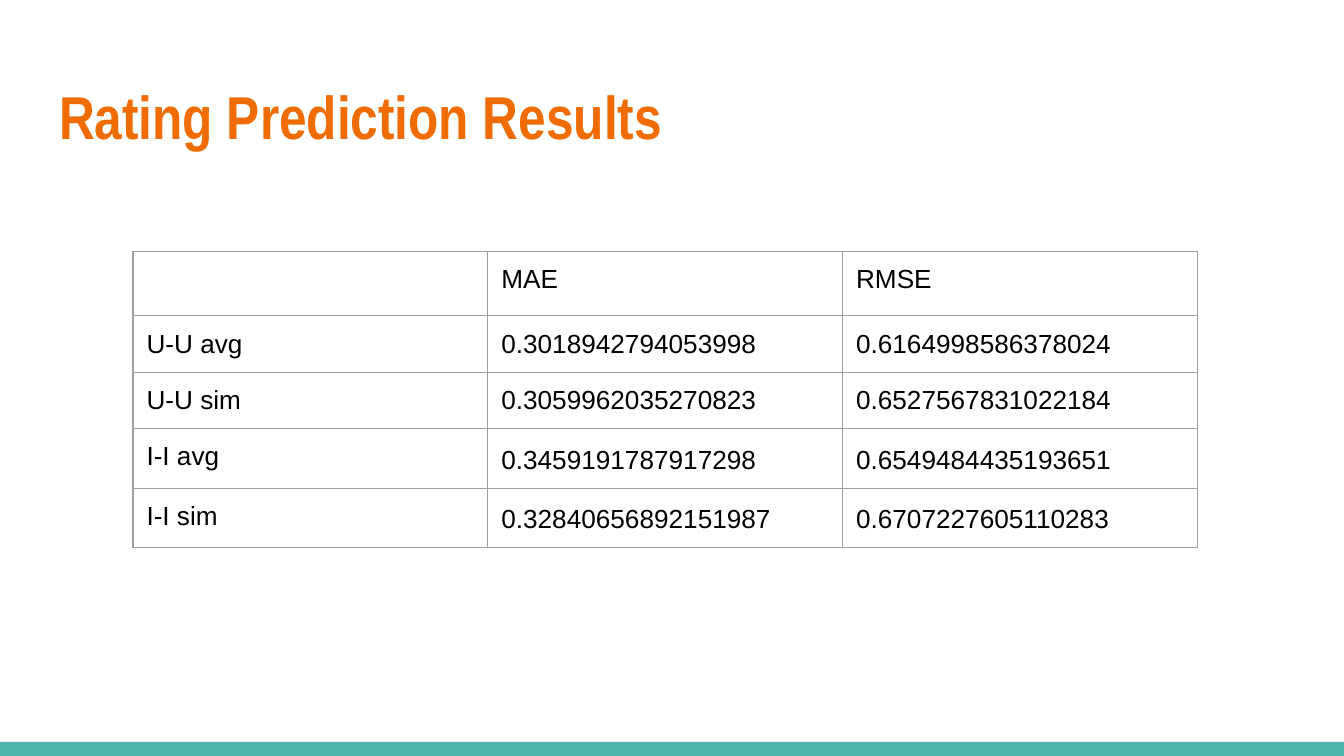
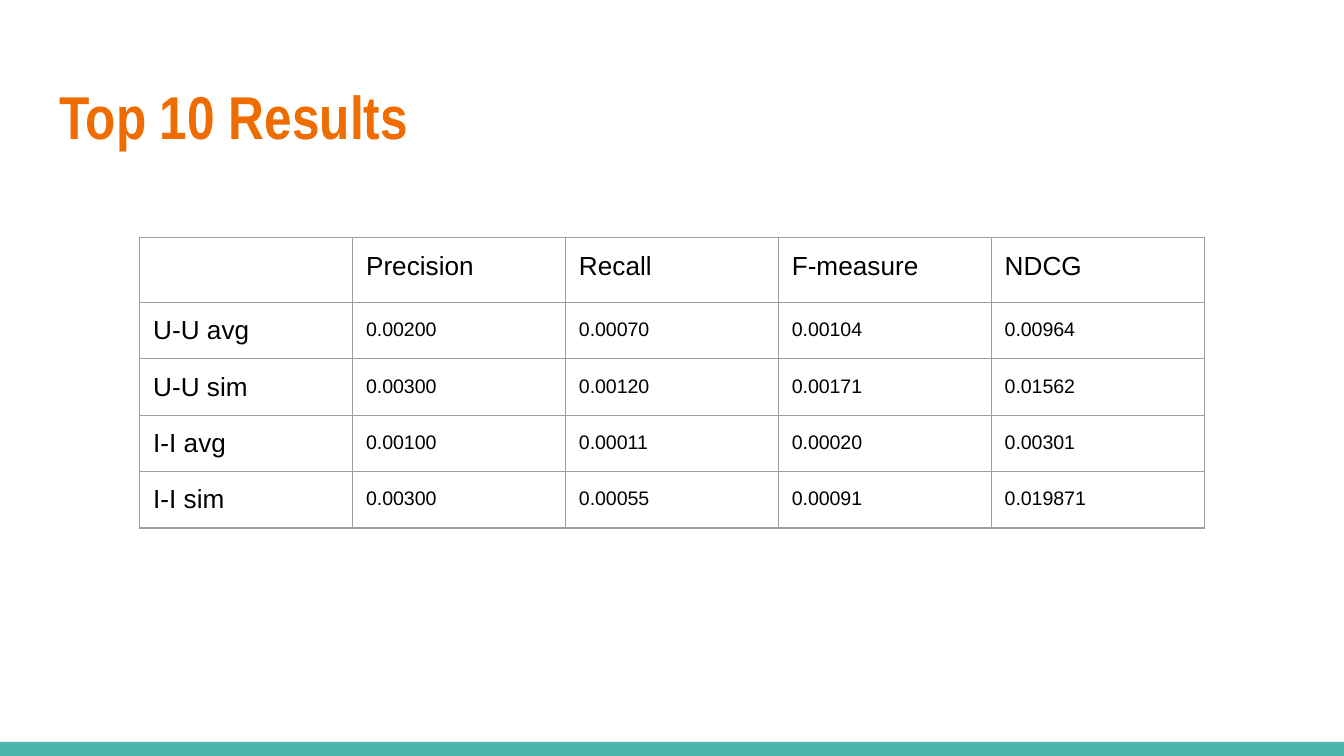
import dataclasses

import pptx
import pptx.util
import pptx.dml.color
import pptx.enum.shapes
import pptx.enum.text
import pptx.oxml
import pptx.oxml.ns

Inches, Pt = pptx.util.Inches, pptx.util.Pt


@dataclasses.dataclass(frozen=True)
class Theme:
    title: str = "EF6C00"
    band: str = "4DB6AC"
    ink: str = "000000"
    grid: str = "9E9E9E"
    head_font: str = "Arial Narrow"
    body_font: str = "Arial"
    head_size: float = 32.4
    blank_size: float = 18
    body_size: float = 14
    small_size: float = 10.5
    rule: float = 0.75
    pad: float = 0.1


@dataclasses.dataclass(frozen=True)
class Box:
    left: float
    top: float
    width: float
    height: float

    def emu(self):
        return [Inches(v) for v in dataclasses.astuple(self)]


THEME = Theme()
PAGE = Box(0, 0, 10, 10 * 9 / 16)
TITLE = Box(0.34, 0.49, 9.32, 0.77)
BAND = Box(0, 5.52, 10, PAGE.height - 5.52)
ROW = 0.42
NS = pptx.oxml.ns.nsdecls("a")


def color(code):
    return pptx.dml.color.RGBColor.from_string(code)


def style(par, font, size, code, bold=False):
    for run in par.runs:
        run.font.name = font
        run.font.size = Pt(size)
        run.font.color.rgb = color(code)
        run.font.bold = bold


# Title and bottom band, shared by all slides
def add_title(slide, box, text):
    shape = slide.shapes.title
    shape.left, shape.top, shape.width, shape.height = box.emu()
    frame = shape.text_frame
    frame.text = text
    frame.word_wrap = True
    frame.auto_size = pptx.enum.text.MSO_AUTO_SIZE.NONE
    frame.vertical_anchor = pptx.enum.text.MSO_ANCHOR.TOP
    frame.margin_left = frame.margin_right = Inches(THEME.pad)
    frame.margin_top = frame.margin_bottom = Inches(THEME.pad)
    par = frame.paragraphs[0]
    par.alignment = pptx.enum.text.PP_ALIGN.LEFT
    style(par, THEME.head_font, THEME.head_size, THEME.title, True)


def add_band(slide, box):
    kind = pptx.enum.shapes.MSO_SHAPE.RECTANGLE
    band = slide.shapes.add_shape(kind, *box.emu())
    band.shadow.inherit = False
    band.fill.solid()
    band.fill.fore_color.rgb = color(THEME.band)
    band.line.fill.background()


# Table with thin grey rules
def add_rules(cell):
    props = cell._tc.get_or_add_tcPr()
    for side in "LRTB":
        props.append(pptx.oxml.parse_xml(
            f'<a:ln{side} {NS} w="{Pt(THEME.rule)}">'
            f'<a:solidFill><a:srgbClr val="{THEME.grid}"/></a:solidFill>'
            f'</a:ln{side}>'))


def size_blank(par):
    """Give an empty cell the font that sets its row height."""
    par._p.append(pptx.oxml.parse_xml(
        f'<a:endParaRPr {NS} sz="{THEME.blank_size * 100}">'
        f'<a:latin typeface="{THEME.body_font}"/></a:endParaRPr>'))


def fill_cell(cell, text, size, space):
    cell.margin_left = cell.margin_right = Inches(THEME.pad)
    cell.margin_top = cell.margin_bottom = Inches(THEME.pad)
    add_rules(cell)
    cell.fill.background()
    par = cell.text_frame.paragraphs[0]
    if text:
        par.text = text
        par.line_spacing = space
        style(par, THEME.body_font, size, THEME.ink)
    else:
        size_blank(par)


def add_grid(slide, box, rows, size, space, start):
    """Value cells from row `start` on get the line spacing `space`."""
    frame = slide.shapes.add_table(len(rows), len(rows[0]), *box.emu())
    table = frame.table
    table.first_row = table.horz_banding = False
    for col in table.columns:
        col.width = Inches(box.width / len(rows[0]))
    for r, row in enumerate(rows):
        table.rows[r].height = Inches(box.height / len(rows))
        for c, text in enumerate(row):
            value = r > 0 and c > 0
            fill_cell(table.cell(r, c), text,
                      size if value else THEME.body_size,
                      space if value and r >= start else None)


def add_slide(deck, title, box, rows, size, space, start=1):
    slide = deck.slides.add_slide(deck.slide_layouts[5])
    add_band(slide, BAND)
    add_title(slide, TITLE, title)
    add_grid(slide, box, rows, size, space, start)


RATING = [
    ["", "MAE", "RMSE"],
    ["U-U avg", "0.3018942794053998", "0.6164998586378024"],
    ["U-U sim", "0.3059962035270823", "0.6527567831022184"],
    ["I-I avg", "0.3459191787917298", "0.6549484435193651"],
    ["I-I sim", "0.32840656892151987", "0.6707227605110283"],
]
TOP = [
    ["", "Precision", "Recall", "F-measure", "NDCG"],
    ["U-U avg", "0.00200", "0.00070", "0.00104", "0.00964"],
    ["U-U sim", "0.00300", "0.00120", "0.00171", "0.01562"],
    ["I-I avg", "0.00100", "0.00011", "0.00020", "0.00301"],
    ["I-I sim", "0.00300", "0.00055", "0.00091", "0.019871"],
]


def main():
    deck = pptx.Presentation()
    deck.slide_width = Inches(PAGE.width)
    deck.slide_height = Inches(PAGE.height)
    add_slide(deck, "Rating Prediction Results",
              Box(0.99, 1.87, 7.92, ROW * len(RATING)),
              RATING, THEME.body_size, 1.11, start=3)
    add_slide(deck, "Top 10 Results",
              Box(1.04, 1.77, 7.92, ROW * len(TOP)),
              TOP, THEME.small_size, 1.15)
    deck.save("out.pptx")


if __name__ == "__main__":
    main()
